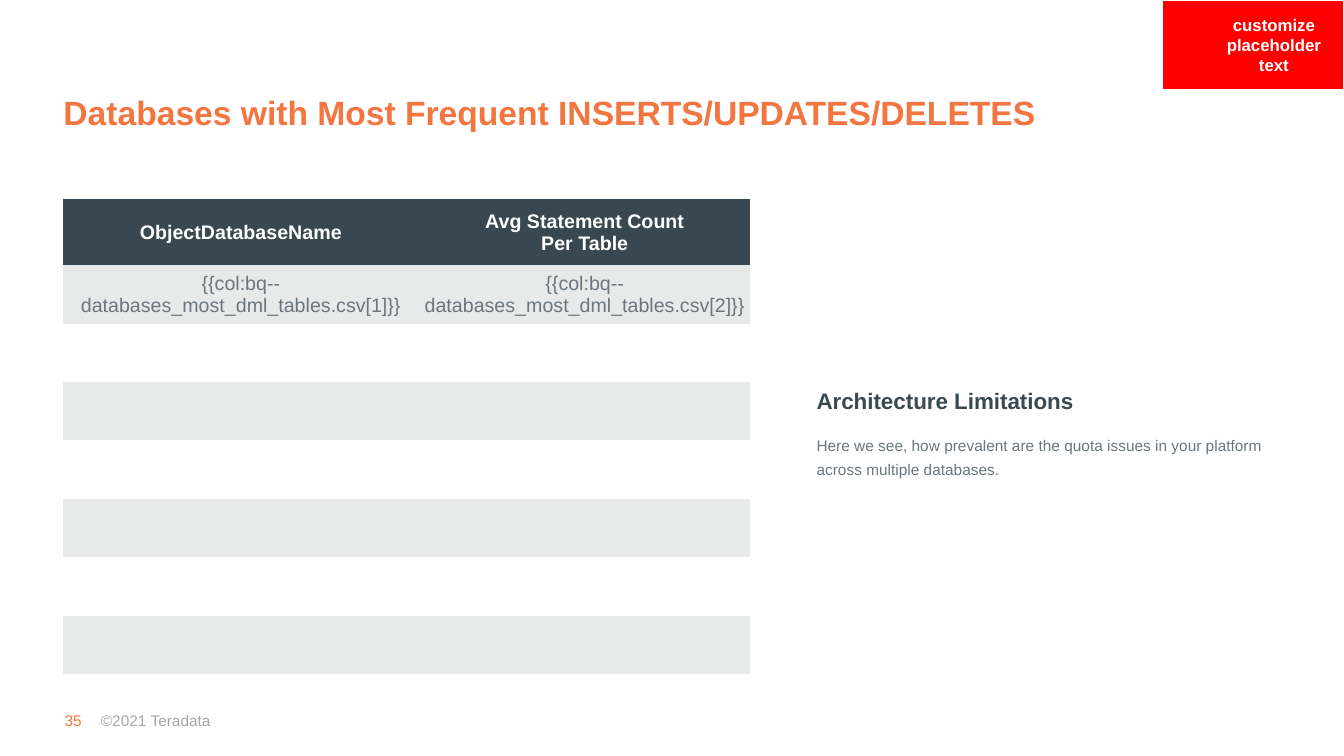
from pptx import Presentation
from pptx.dml.color import RGBColor
from pptx.enum.shapes import MSO_SHAPE as SHAPE
from pptx.enum.text import MSO_ANCHOR as ANCHOR, PP_ALIGN as ALIGN
from pptx.util import Inches, Pt

ORANGE, SLATE, GRAY, WHITE = "F3753F", "394850", "6B767D", "FFFFFF"


def rgb(value):
    return RGBColor.from_string(value)


def write(tf, lines, size, color, bold=False, align=ALIGN.LEFT, **spacing):
    """Fill a text frame, one paragraph per line."""
    for i, line in enumerate(lines):
        p = tf.paragraphs[0] if i == 0 else tf.add_paragraph()
        p.alignment = align
        for name, value in spacing.items():
            setattr(p, name, value)
        r = p.add_run()
        r.text = line
        for name, value in {"name": "Arial", "size": Pt(size), "bold": bold}.items():
            setattr(r.font, name, value)
        r.font.color.rgb = rgb(color)


prs = Presentation()
prs.slide_width, prs.slide_height = Inches(13.33), Inches(7.5)
s = prs.slides.add_slide(prs.slide_layouts[6])

# Title and footer
margin_texts = [
    ((0.63, 0.43, 12.07, 0.89), "Databases with Most Frequent INSERTS/UPDATES/DELETES",
     24, ORANGE, True, ANCHOR.BOTTOM, 0.9),
    ((0.64, 7.05, 0.3, 0.19), "35", 11, ORANGE, False, ANCHOR.TOP, 1.0),
    ((1, 7, 1.91, 0.29), "©2021 Teradata", 11, "A6A6A6", False, ANCHOR.MIDDLE, 1.0),
]
for box, text, size, color, bold, anchor, spacing in margin_texts:
    tf = s.shapes.add_textbox(*map(Inches, box)).text_frame
    tf.word_wrap = True
    tf.vertical_anchor = anchor
    tf.margin_left = tf.margin_right = tf.margin_top = tf.margin_bottom = 0
    write(tf, [text], size, color, bold, line_spacing=spacing)

# Database table
rows = [
    (["ObjectDatabaseName"], ["Avg Statement Count", "Per Table"]),
    (["{{col:bq--databases_most_dml_tables.csv[1]}}"],
     ["{{col:bq--databases_most_dml_tables.csv[2]}}"]),
]
table = s.shapes.add_table(8, 2, *map(Inches, (0.62, 1.97, 6.82, 4.71))).table
table.first_row = True
table.horz_banding = False
# "No Style, No Grid" keeps borders off
table._tbl.tblPr[0].text = "{2D5ABB26-0587-4C30-8999-92F81FD0307C}"
for col, width in zip(table.columns, (3.54, 3.28)):
    col.width = Inches(width)
for i, row in enumerate(table.rows):
    row.height = Inches(0.58 if i else 0.66)
    fill = SLATE if i == 0 else "E8E9E9" if i % 2 else WHITE
    for j, cell in enumerate(row.cells):
        cell.fill.solid()
        cell.fill.fore_color.rgb = rgb(fill)
        cell.vertical_anchor = ANCHOR.MIDDLE
        cell.margin_left = cell.margin_right = cell.margin_top = Inches(0.01)
        cell.margin_bottom = 0
        if i < len(rows):
            write(cell.text_frame, rows[i][j], 14, GRAY if i else WHITE,
                  bold=i == 0, align=ALIGN.CENTER)

# Corner tag
tag = s.shapes.add_group_shape()
sp = tag.shapes.add_shape(SHAPE.RECTANGLE, *map(Inches, (11.53, 0, 1.8, 0.89)))
sp.shadow.inherit = False
sp.fill.solid()
sp.fill.fore_color.rgb = rgb("FF0000")
sp.line.color.rgb = rgb(WHITE)
sp.line.width = Pt(0.75)
tf = tag.shapes.add_textbox(*map(Inches, (12.01, 0.09, 1.25, 0.71))).text_frame
tf.word_wrap = True
tf.vertical_anchor = ANCHOR.MIDDLE
write(tf, ["customize", "placeholder", "text"], 12, WHITE, True, ALIGN.CENTER)

# Commentary
tf = s.shapes.add_textbox(*map(Inches, (8, 3.71, 4.71, 1.08))).text_frame
tf.word_wrap = True
write(tf, ["Architecture Limitations"], 16, "384951", True, line_spacing=1.3)
p = tf.add_paragraph()
p.line_spacing = 1.3
p.space_before = Pt(12)
r = p.add_run()
r.text = ("Here we see, how prevalent are the quota issues in your platform "
          "across multiple databases.")
r.font.name = "Arial"
r.font.size = Pt(11)
r.font.color.rgb = rgb(GRAY)

prs.save("out.pptx")
